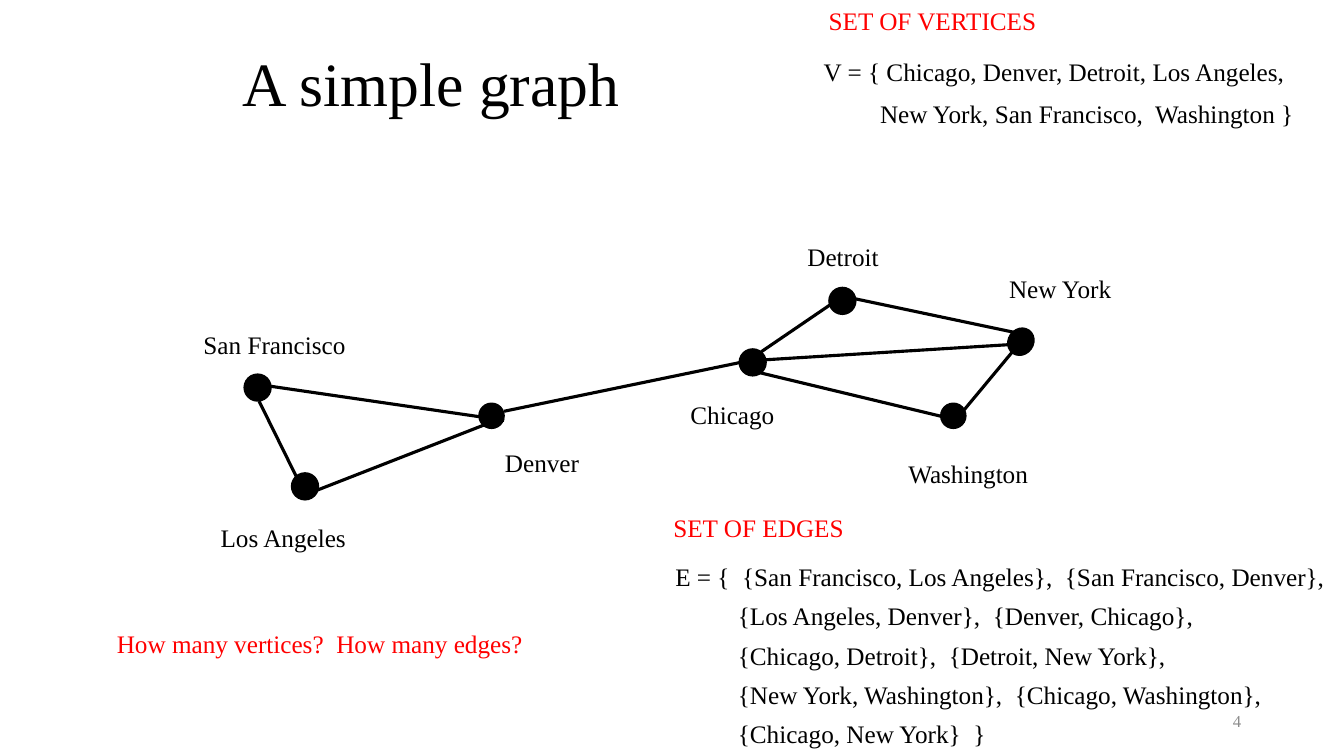
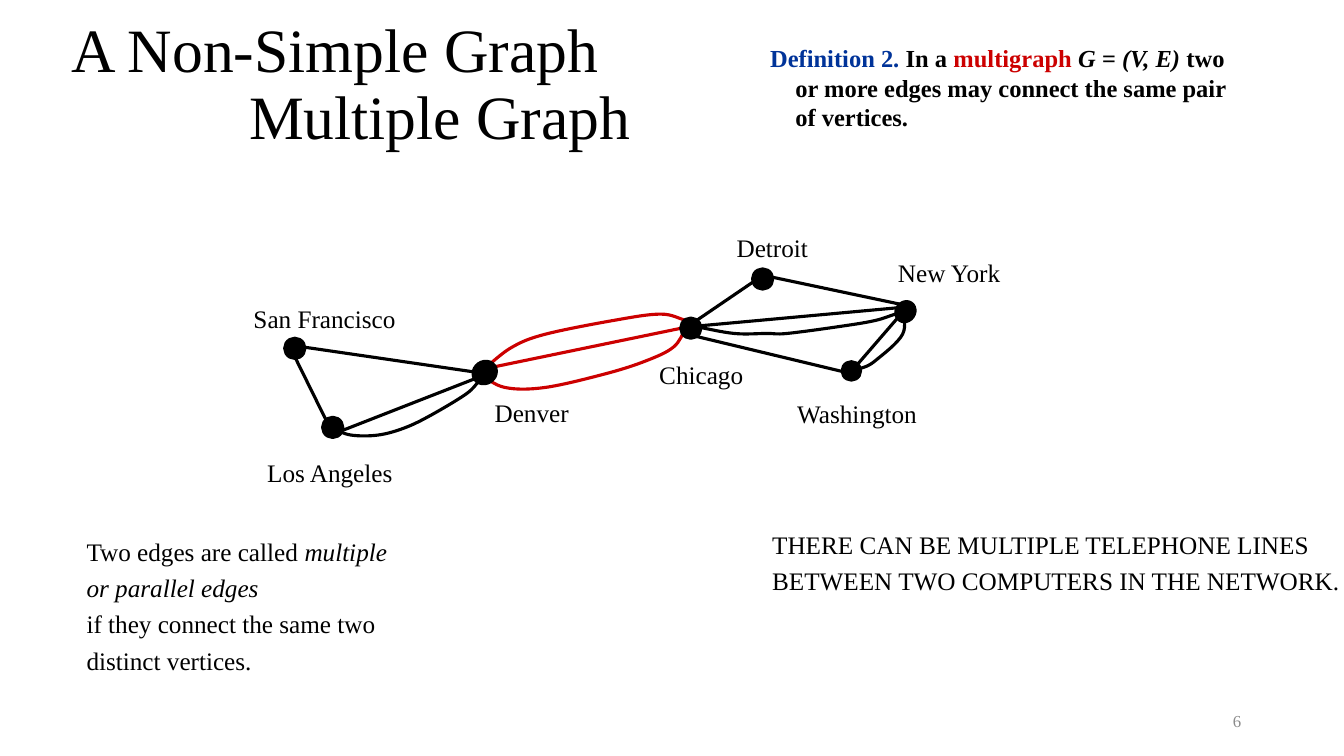
import pptx
import pptx.dml.color
import pptx.enum.shapes
import pptx.enum.text
import pptx.oxml.ns
import pptx.util
from lxml import etree

PX = 9144  # EMU in one px, 100 px to the inch
FONT = "Times New Roman"
INK = {"black": "000000", "red": "FF0000", "crimson": "CC0000",
       "blue": "003399", "grey": "8C8C8C"}
ALIGN = pptx.enum.text.PP_ALIGN
ANCHOR = pptx.enum.text.MSO_ANCHOR
SIZING = pptx.enum.text.MSO_AUTO_SIZE
KIND = pptx.enum.shapes.MSO_SHAPE
STRAIGHT = pptx.enum.shapes.MSO_CONNECTOR.STRAIGHT
qn = pptx.oxml.ns.qn

# The network, in px from the corner of its box.
# City: dot left, top, width, height, turn, outline
DOTS = {
    "San Francisco": (53, 142, 25, 25, 0, 2.25),
    "Los Angeles": (100, 240, 25, 25, 0, 2.25),
    "Detroit": (633, 56, 25, 25, 0, 2.25),
    "Chicago": (544, 117, 25, 25, 0, 2.25),
    "Washington": (743, 170, 25, 25, 0, 1),
    "New York": (810, 95, 25, 28, 35.2, 1),
    "Denver": (285, 170, 25, 25, 0, 1),
}
# City: label left, top, width
LABELS = {
    "San Francisco": (2, 92, 163),
    "Denver": (301, 209, 94),
    "Los Angeles": (19, 283, 146),
    "New York": (801, 36, 123),
    "Chicago": (485, 161, 104),
    "Washington": (701, 220, 142),
    "Detroit": (601, 4, 93),
}
EDGES = {
    ("San Francisco", "Los Angeles"): ((67, 168), (104, 243)),
    ("San Francisco", "Denver"): ((77, 153), (310, 187)),
    ("Los Angeles", "Denver"): ((302, 187), (110, 262)),
    ("Denver", "Chicago"): ((552, 128), (310, 178)),
    ("Chicago", "Detroit"): ((634, 72), (565, 119)),
    ("Detroit", "New York"): ((642, 63), (822, 101)),
    ("New York", "Washington"): ((820, 112), (756, 189)),
    ("Chicago", "Washington"): ((552, 137), (760, 187)),
    ("Chicago", "New York"): ((552, 128), (810, 112)),
}
# Parallel edges of the multigraph: colour and the points they pass
CURVES = [
    ("black", [(110, 253), (135, 262), (169, 262), (202, 253),
               (235, 237), (278, 211), (294, 195)]),
    ("crimson", [(294, 186), (326, 203), (376, 203), (451, 186),
                 (501, 170), (535, 153), (551, 129)]),
    ("crimson", [(301, 179), (335, 153), (376, 137), (460, 120),
                 (519, 112), (551, 120)]),
    ("black", [(819, 103), (819, 137), (785, 170), (768, 179), (760, 179)]),
    ("black", [(560, 127), (610, 136), (651, 136), (676, 136),
               (744, 127), (785, 120), (810, 112)]),
]


def emu(*sizes):
    return [round(size * PX) for size in sizes]


def tint(name):
    return pptx.dml.color.RGBColor.from_string(INK[name])


def fill_text(frame, paras, size=18, ink="black", space=1.0, indents=(),
              align=ALIGN.LEFT, bold=False):
    """Each paragraph is a list of runs: (text, colour, italic), or plain text.

    Indents are pairs of left margin and first-line offset in px.
    """
    for i, runs in enumerate(paras):
        para = frame.paragraphs[0] if i == 0 else frame.add_paragraph()
        para.alignment = align
        para.line_spacing = space
        para.space_before = pptx.util.Pt(0)
        if indents:
            left, first = emu(*indents[i])
            props = para._p.get_or_add_pPr()
            props.set("marL", str(left))
            props.set("indent", str(first))
        for part in [runs] if isinstance(runs, str) else runs:
            words, hue, slant = (part, ink, False) if isinstance(part, str) else part
            run = para.add_run()
            run.text = words
            run.font.name = FONT
            run.font.size = pptx.util.Pt(size)
            run.font.bold = bold
            run.font.italic = slant
            run.font.color.rgb = tint(hue)


def add_text(slide, box, paras, wrap=False, anchor=ANCHOR.TOP, **style):
    frame = slide.shapes.add_textbox(*emu(*box)).text_frame
    frame.word_wrap = wrap
    frame.vertical_anchor = anchor
    frame.auto_size = SIZING.SHAPE_TO_FIT_TEXT if anchor == ANCHOR.TOP else SIZING.NONE
    fill_text(frame, paras, **style)


HEAD = {"size": 44, "space": 0.9}


def new_slide(deck, box, title, number):
    slide = deck.slides.add_slide(deck.slide_layouts[5])
    head = slide.shapes.title
    head.left, head.top, head.width, head.height = emu(*box)
    frame = head.text_frame
    frame.word_wrap = True
    frame.auto_size = SIZING.NONE
    frame.vertical_anchor = ANCHOR.MIDDLE
    fill_text(frame, [title], **HEAD)
    add_text(slide, (941, 695, 300, 40), [number], wrap=True, size=12,
             anchor=ANCHOR.MIDDLE, ink="grey", align=ALIGN.RIGHT)
    return slide


def stroke(shape, ink, width=2.25):
    shape.line.color.rgb = tint(ink)
    shape.line.width = pptx.util.Pt(width)


def smooth(curve):
    """Turns the straight parts of a freeform into one flowing curve."""
    spots = [(int(pt.get("x")), int(pt.get("y")))
             for pt in curve._element.iter(qn("a:pt"))]

    def mirror(a, b):
        return 2 * a[0] - b[0], 2 * a[1] - b[1]

    knots = [mirror(spots[0], spots[1]), *spots, mirror(spots[-1], spots[-2])]
    parts = list(curve._element.iter(qn("a:lnTo")))
    for part, a, b, c, d in zip(parts, knots, knots[1:], knots[2:], knots[3:]):
        bend = etree.Element(qn("a:cubicBezTo"))
        leave = [q + (r - p) / 6 for p, q, r in zip(a, b, c)]
        reach = [r - (s - q) / 6 for q, r, s in zip(b, c, d)]
        for x, y in (leave, reach, c):
            etree.SubElement(bend, qn("a:pt"), x=str(round(x)), y=str(round(y)))
        part.getparent().replace(part, bend)


def draw_graph(slide, corner, zoom, dots, labels, edges, curves=(), marked=()):
    """Draws the network from its corner; the marked edges are crimson."""
    def place(x, y):
        return emu(corner[0] + zoom * x, corner[1] + zoom * y)

    for pair, (start, end) in edges.items():
        line = slide.shapes.add_connector(STRAIGHT, *place(*start), *place(*end))
        stroke(line, "crimson" if pair in marked else "black")
        etree.SubElement(line._element.spPr, qn("a:effectLst"))
    for ink, points in curves:
        first, *rest = [place(*point) for point in points]
        pen = slide.shapes.build_freeform(*first)
        pen.add_line_segments(rest, close=False)
        curve = pen.convert_to_shape()
        smooth(curve)
        curve.shadow.inherit = False
        curve.fill.background()
        stroke(curve, ink)
    for x, y, wide, high, turn, width in dots.values():
        dot = slide.shapes.add_shape(KIND.OVAL, *place(x, y),
                                     *emu(zoom * wide, zoom * high))
        dot.rotation = turn
        dot.shadow.inherit = False
        dot.fill.solid()
        dot.fill.fore_color.rgb = tint("black")
        stroke(dot, "black", width)
    for city, (x, y, wide) in labels.items():
        box = (corner[0] + zoom * x, corner[1] + zoom * y, wide, 40)
        add_text(slide, box, [city])


def simple_graph(deck):
    slide = new_slide(deck, (231, 23, 858, 125), "A simple graph", "4")
    draw_graph(slide, (190, 230), 1, DOTS, LABELS, EDGES)
    add_text(slide, (106, 618, 425, 40), ["How many vertices?  How many edges?"],
             ink="red")
    add_text(slide, (812, 0, 228, 40), ["SET OF VERTICES"], ink="red")
    add_text(slide, (807, 39, 491, 90), [
        "V = { Chicago, Denver, Detroit, Los Angeles,",
        "New York, San Francisco,  Washington }",
    ], space=1.4, indents=[(0, 0), (56, 0)])
    add_text(slide, (658, 503, 191, 40), ["SET OF EDGES"], ink="red")
    add_text(slide, (660, 543, 677, 203), [
        "E = {  {San Francisco, Los Angeles},  {San Francisco, Denver},",
        "{Los Angeles, Denver},  {Denver, Chicago},",
        "{Chicago, Detroit},  {Detroit, New York},",
        "{New York, Washington},  {Chicago, Washington},",
        "{Chicago, New York}  }",
    ], space=1.3, indents=[(0, 0)] + [(62, 0)] * 4)


def multi_graph(deck):
    slide = new_slide(deck, (237, 56, 858, 125), "Multiple Graph", "6")
    add_text(slide, (61, -2, 875, 108), ["A Non-Simple Graph"], wrap=True,
             anchor=ANCHOR.MIDDLE, **HEAD)
    dots = {**DOTS, "Denver": (285, 170, 32, 29, 324.8, 1)}
    labels = {**LABELS, "Chicago": (505, 162, 104), "Washington": (676, 210, 142)}
    edges = {**EDGES,
             ("Chicago", "New York"): ((552, 128), (826, 103)),
             ("New York", "Washington"): ((817, 112), (760, 178))}
    draw_graph(slide, (240, 222), 0.8, dots, labels, edges, CURVES,
               marked=[("Denver", "Chicago")])
    add_text(slide, (754, 38, 477, 93), [[
        ("Definition 2.", "blue", False), " In a ",
        ("multigraph ", "crimson", False), ("G = (V, E)", "black", True),
        " two or more edges may connect the same pair of vertices.",
    ]], wrap=True, size=17.5, bold=True, indents=[(25, -25)])
    add_text(slide, (76, 521, 331, 153), [
        ["Two edges are called ", ("multiple or parallel edges", "black", True)],
        "if they connect the same two distinct vertices.",
    ], wrap=True, space=1.2)
    add_text(slide, (756, 514, 589, 80), [
        "THERE CAN BE MULTIPLE TELEPHONE LINES",
        "BETWEEN TWO COMPUTERS IN THE NETWORK.",
    ], space=1.2)


def main():
    deck = pptx.Presentation()
    deck.slide_width, deck.slide_height = emu(1333, 750)
    simple_graph(deck)
    multi_graph(deck)
    deck.save("out.pptx")


if __name__ == "__main__":
    main()
